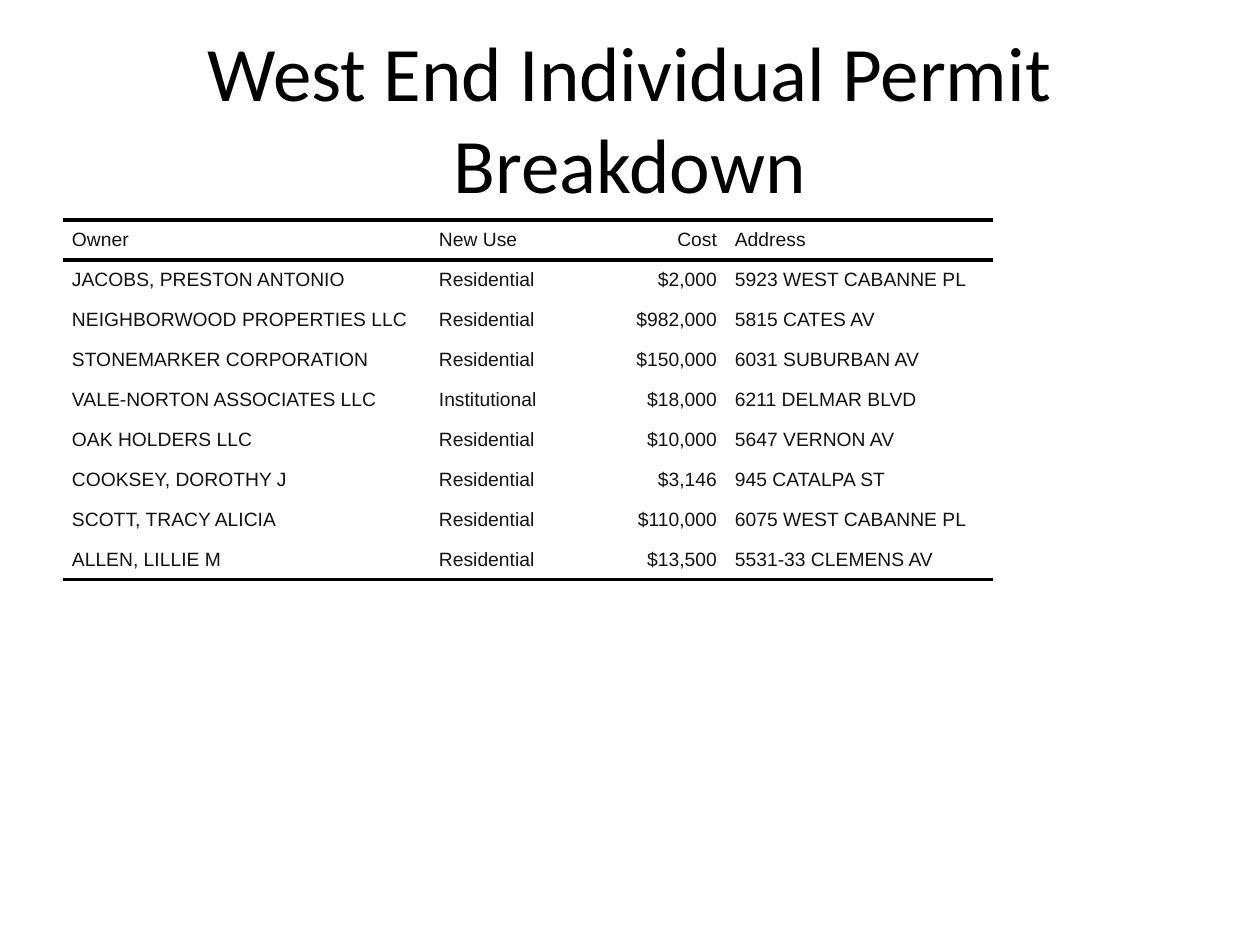
from dataclasses import dataclass

from lxml.etree import SubElement
from pptx import Presentation
from pptx.dml.color import RGBColor
from pptx.enum.text import MSO_ANCHOR as Anchor, MSO_AUTO_SIZE as AutoSize, PP_ALIGN as Align
from pptx.oxml.ns import qn
from pptx.util import Pt

TITLE = "West End Individual Permit Breakdown"
HEADINGS = ("Owner", "New Use", "Cost", "Address")
PERMITS = [
    ("JACOBS, PRESTON ANTONIO", "Residential", "$2,000", "5923 WEST CABANNE PL"),
    ("NEIGHBORWOOD PROPERTIES LLC", "Residential", "$982,000", "5815 CATES AV"),
    ("STONEMARKER CORPORATION", "Residential", "$150,000", "6031 SUBURBAN AV"),
    ("VALE-NORTON ASSOCIATES LLC", "Institutional", "$18,000", "6211 DELMAR BLVD"),
    ("OAK HOLDERS LLC", "Residential", "$10,000", "5647 VERNON AV"),
    ("COOKSEY, DOROTHY J", "Residential", "$3,146", "945 CATALPA ST"),
    ("SCOTT, TRACY ALICIA", "Residential", "$110,000", "6075 WEST CABANNE PL"),
    ("ALLEN, LILLIE M", "Residential", "$13,500", "5531-33 CLEMENS AV"),
]
ALIGNMENTS = (Align.LEFT, Align.LEFT, Align.RIGHT, Align.LEFT)


@dataclass(frozen=True)
class Theme:
    title_font: str = "Calibri"
    title_size: int = 44
    title_color: str = "000000"
    table_font: str = "Arial"
    table_size: int = 11
    table_color: str = "111111"
    rule_color: str = "000000"
    rule_width: int = 2
    cell_spacing: int = 2


THEME = Theme()
PX = 914400 // 126
SLIDE_SIZE = (1260, 945)
TITLE_BOX = (63, 38, 1134, 157)
TABLE_LEFT, TABLE_TOP = 63, 220
COLUMN_WIDTHS = (367, 133, 163, 267)
ROW_HEIGHT = 40
CELL_INDENT = 9
PLAIN_TABLE_STYLE = "{2D5ABB26-0587-4C30-8999-92F81FD0307C}"


def px(*lengths):
    return [length * PX for length in lengths]


def style_font(font, name, size, color):
    font.name, font.size = name, Pt(size)
    font.color.rgb = RGBColor.from_string(color)


def add_title(page):
    box = page.shapes.add_textbox(*px(*TITLE_BOX))
    frame = box.text_frame
    frame.text = TITLE
    frame.word_wrap = True
    frame.auto_size = AutoSize.NONE
    frame.vertical_anchor = Anchor.MIDDLE
    para = frame.paragraphs[0]
    para.alignment = Align.CENTER
    style_font(para.runs[0].font, THEME.title_font, THEME.title_size, THEME.title_color)


def add_rule(cell, side):
    """Draw a solid border on one side of a cell: lnT or lnB."""
    properties = cell._tc.get_or_add_tcPr()
    line = SubElement(properties, qn(f"a:{side}"), w=str(Pt(THEME.rule_width)))
    fill = SubElement(line, qn("a:solidFill"))
    SubElement(fill, qn("a:srgbClr"), val=THEME.rule_color)


def fill_cell(cell, text, alignment):
    cell.text = text
    cell.margin_left = cell.margin_right = cell.margin_top = cell.margin_bottom = 0
    cell.vertical_anchor = Anchor.MIDDLE
    cell.fill.background()
    para = cell.text_frame.paragraphs[0]
    para.alignment = alignment
    para.space_before = para.space_after = Pt(THEME.cell_spacing)
    indents = para._p.get_or_add_pPr()
    for side in ("marL", "marR"):
        indents.set(side, str(CELL_INDENT * PX))
    indents.set("indent", "0")
    style_font(para.runs[0].font, THEME.table_font, THEME.table_size, THEME.table_color)


def add_permit_table(page):
    rows = [HEADINGS, *PERMITS]
    place = px(TABLE_LEFT, TABLE_TOP, sum(COLUMN_WIDTHS), ROW_HEIGHT * len(rows))
    table_frame = page.shapes.add_table(len(rows), len(HEADINGS), *place)
    table = table_frame.table
    table.first_row = table.horz_banding = False
    table._tbl.tblPr.find(qn("a:tableStyleId")).text = PLAIN_TABLE_STYLE
    for column, width in zip(table.columns, COLUMN_WIDTHS):
        column.width = width * PX
    for r, values in enumerate(rows):
        table.rows[r].height = ROW_HEIGHT * PX
        for c, (text, alignment) in enumerate(zip(values, ALIGNMENTS)):
            cell = table.cell(r, c)
            if r == 0:
                add_rule(cell, "lnT")
            if r in (0, len(rows) - 1):
                add_rule(cell, "lnB")
            fill_cell(cell, text, alignment)


def main():
    deck = Presentation()
    deck.slide_width, deck.slide_height = px(*SLIDE_SIZE)
    page = deck.slides.add_slide(deck.slide_layouts[6])
    add_title(page)
    add_permit_table(page)
    deck.save("out.pptx")


if __name__ == "__main__":
    main()
